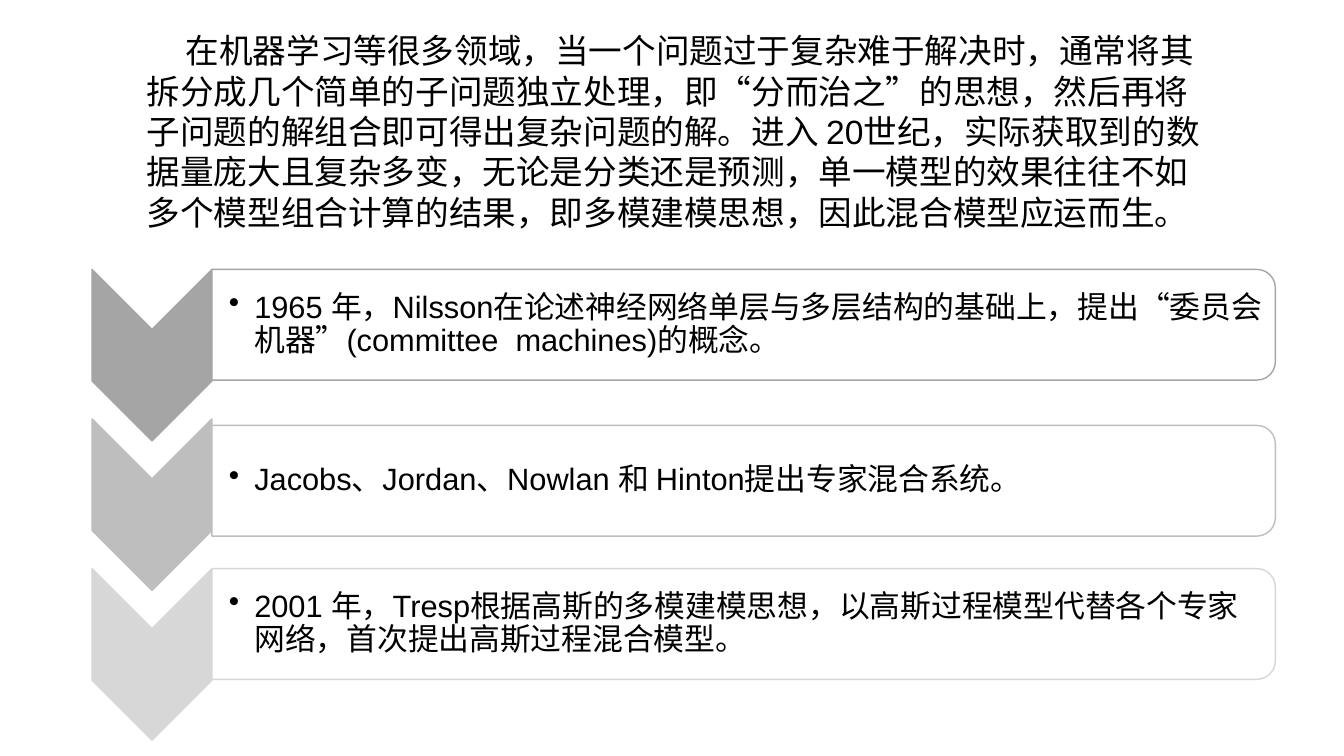
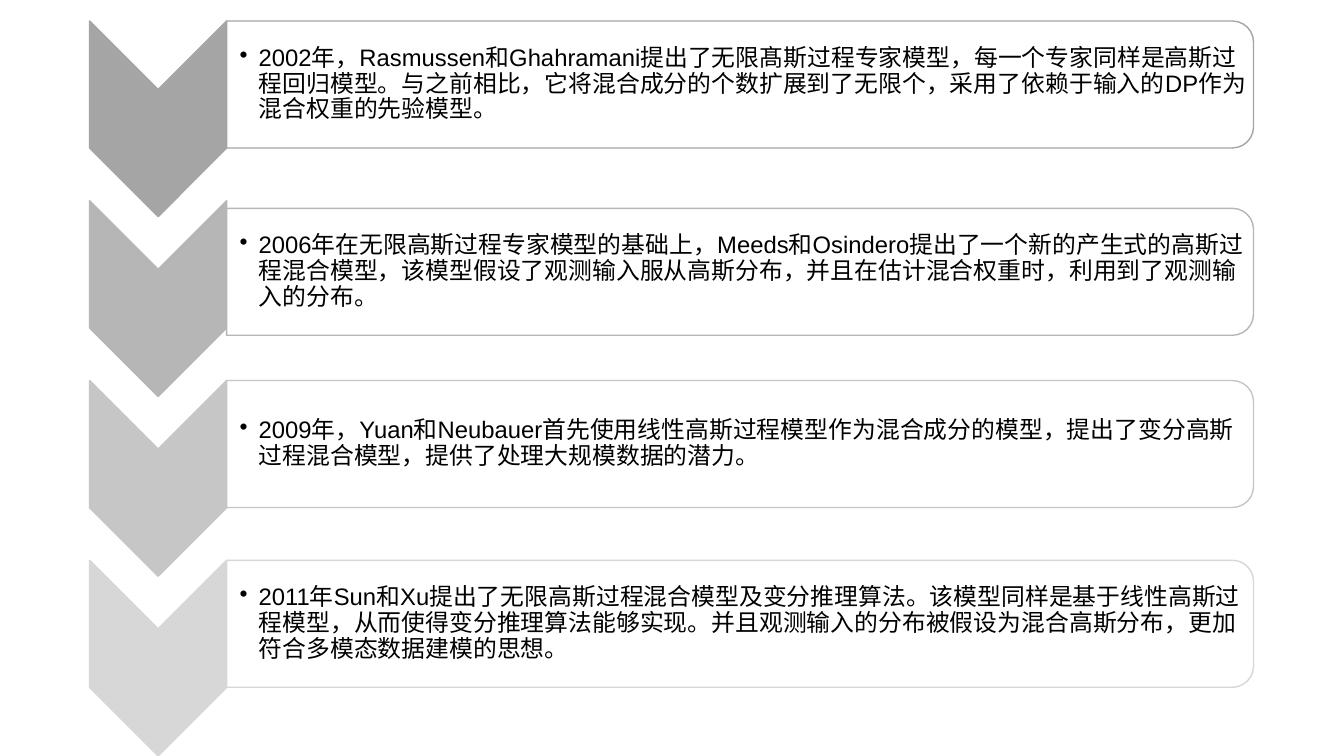
from pptx import Presentation, util as u
from pptx.dml.color import RGBColor
from pptx.enum import lang, shapes, text
from pptx.oxml import parse_xml
from pptx.oxml.ns import nsdecls

Cm, Pt = u.Cm, u.Pt
KIND = shapes.MSO_SHAPE
BLACK = RGBColor(0x00, 0x00, 0x00)
WHITE = RGBColor(0xFF, 0xFF, 0xFF)
DARK = RGBColor(0xA5, 0xA5, 0xA5)
SLATE = RGBColor(0xB6, 0xB6, 0xB6)
MID = RGBColor(0xBE, 0xBE, 0xBE)
SOFT = RGBColor(0xC6, 0xC6, 0xC6)
PALE = RGBColor(0xD7, 0xD7, 0xD7)
FONT = {"name": "Arial", "language_id": lang.MSO_LANGUAGE_ID.SIMPLIFIED_CHINESE}

INTRO = (
    "在机器学习等很多领域，当一个问题过于复杂难于解决时，通常将其拆分成几个简单的子问题独立处理，"
    "即“分而治之”的思想，然后再将子问题的解组合即可得出复杂问题的解。进入 20世纪，"
    "实际获取到的数据量庞大且复杂多变，无论是分类还是预测，单一模型的效果往往不如多个模型组合计算的结果，"
    "即多模建模思想，因此混合模型应运而生。"
)

# Each step: colour, extra drop of its panel in cm, words
EARLY = [
    (DARK, 0, "1965 年，Nilsson在论述神经网络单层与多层结构的基础上，"
              "提出“委员会机器”(committee  machines)的概念。"),
    (MID, 0.16, "Jacobs、Jordan、Nowlan 和 Hinton提出专家混合系统。"),
    (PALE, 0, "2001 年，Tresp根据高斯的多模建模思想，以高斯过程模型代替各个专家网络，"
              "首次提出高斯过程混合模型。"),
]
LATER = [
    (DARK, 0, "2002年，Rasmussen和Ghahramani提出了无限髙斯过程专家模型，"
              "每一个专家同样是高斯过程回归模型。与之前相比，它将混合成分的个数扩展到了无限个，"
              "采用了依赖于输入的DP作为混合权重的先验模型。"),
    (SLATE, 0.19, "2006年在无限高斯过程专家模型的基础上，"
                  "Meeds和Osindero提出了一个新的产生式的高斯过程混合模型，"
                  "该模型假设了观测输入服从高斯分布，并且在估计混合权重时，利用到了观测输入的分布。"),
    (SOFT, 0, "2009年，Yuan和Neubauer首先使用线性高斯过程模型作为混合成分的模型，"
              "提出了变分高斯过程混合模型，提供了处理大规模数据的潜力。"),
    (PALE, 0, "2011年Sun和Xu提出了无限高斯过程混合模型及变分推理算法。"
              "该模型同样是基于线性高斯过程模型，从而使得变分推理算法能够实现。"
              "并且观测输入的分布被假设为混合高斯分布，更加符合多模态数据建模的思想。"),
]

# Sizes in cm, apart from the text size
WIDE = {"left": 2.32, "top": 6.79, "step": 3.77, "arrow": (3.02, 4.32),
        "panel": (26.8, 2.79), "pad": 0.14, "inset": 0.43, "edge": 0.05,
        "hang": 0.64, "size": 22}
DENSE = {"left": 2.26, "top": 0.53, "step": 4.53, "arrow": (3.45, 4.93),
         "panel": (25.88, 3.2), "pad": 0.16, "inset": 0.33, "edge": 0.03,
         "hang": 0.48, "size": 17}


def apply(obj, form):
    for key, val in form.items():
        setattr(obj, key, val)


def turn(area, kind, box, fill, line):
    """Add a shape turned by 90 degrees that fills the upright box."""
    x, y, w, h = box
    shape = area.add_shape(kind, Cm(x + (w - h) / 2), Cm(y + (h - w) / 2), Cm(h), Cm(w))
    shape.rotation = 90
    shape.shadow.inherit = False
    shape.fill.solid()
    shape.fill.fore_color.rgb = fill
    shape.line.color.rgb = line
    shape.line.width = Pt(1)


def write(area, box, words, size, frame, para):
    """Add one paragraph of text in the box."""
    label = area.add_textbox(*map(Cm, box)).text_frame
    apply(label, {"word_wrap": True, **frame})
    line = label.paragraphs[0]
    apply(line, para)
    run = line.add_run()
    run.text = words
    apply(run.font, {**FONT, "size": Pt(size)})
    run.font.color.rgb = BLACK
    return line


def bullet(line, hang):
    props = line._p.get_or_add_pPr()
    props.set("marL", str(Cm(hang)))
    props.set("indent", str(-Cm(hang)))
    props.append(parse_xml(f'<a:buChar {nsdecls("a")} char="•"/>'))


def step(area, x, y, form, tint, drop, words):
    """Place one arrow with its panel and text."""
    aw, ah = form["arrow"]
    pw, ph = form["panel"]
    pad, edge, size = form["pad"], Cm(form["edge"]), form["size"]
    turn(area, KIND.CHEVRON, (x, y, aw, ah), tint, tint)
    px, py = x + aw, y + drop
    turn(area, KIND.ROUND_2_SAME_RECTANGLE, (px, py, pw, ph), WHITE, tint)
    frame = {"vertical_anchor": text.MSO_ANCHOR.MIDDLE, "margin_left": Cm(form["inset"]),
             "margin_right": edge, "margin_top": edge, "margin_bottom": edge}
    para = {"line_spacing": 0.9, "space_after": Pt(size * 0.15)}
    line = write(area, (px, py + pad, pw - pad, ph - 2 * pad), words, size, frame, para)
    bullet(line, form["hang"])


def steps(slide, form, rows):
    """Stack the steps down the slide."""
    area = slide.shapes.add_group_shape().shapes
    for i, row in enumerate(rows):
        step(area, form["left"], form["top"] + i * form["step"], form, *row)


def intro(slide, box):
    """Place the opening paragraph with its first line set in."""
    frame = {"auto_size": text.MSO_AUTO_SIZE.SHAPE_TO_FIT_TEXT}
    line = write(slide.shapes, box, INTRO, 24, frame, {})
    line._p.get_or_add_pPr().set("indent", str(Cm(0.98)))


def main():
    deck = Presentation()
    apply(deck, {"slide_width": Cm(33.87), "slide_height": Cm(19.05)})
    blank = deck.slide_layouts[6]
    first, second = (deck.slides.add_slide(blank) for _ in range(2))
    steps(first, WIDE, EARLY)
    intro(first, (3.45, 0.64, 27.58, 6.15))
    steps(second, DENSE, LATER)
    deck.save("out.pptx")


if __name__ == "__main__":
    main()
